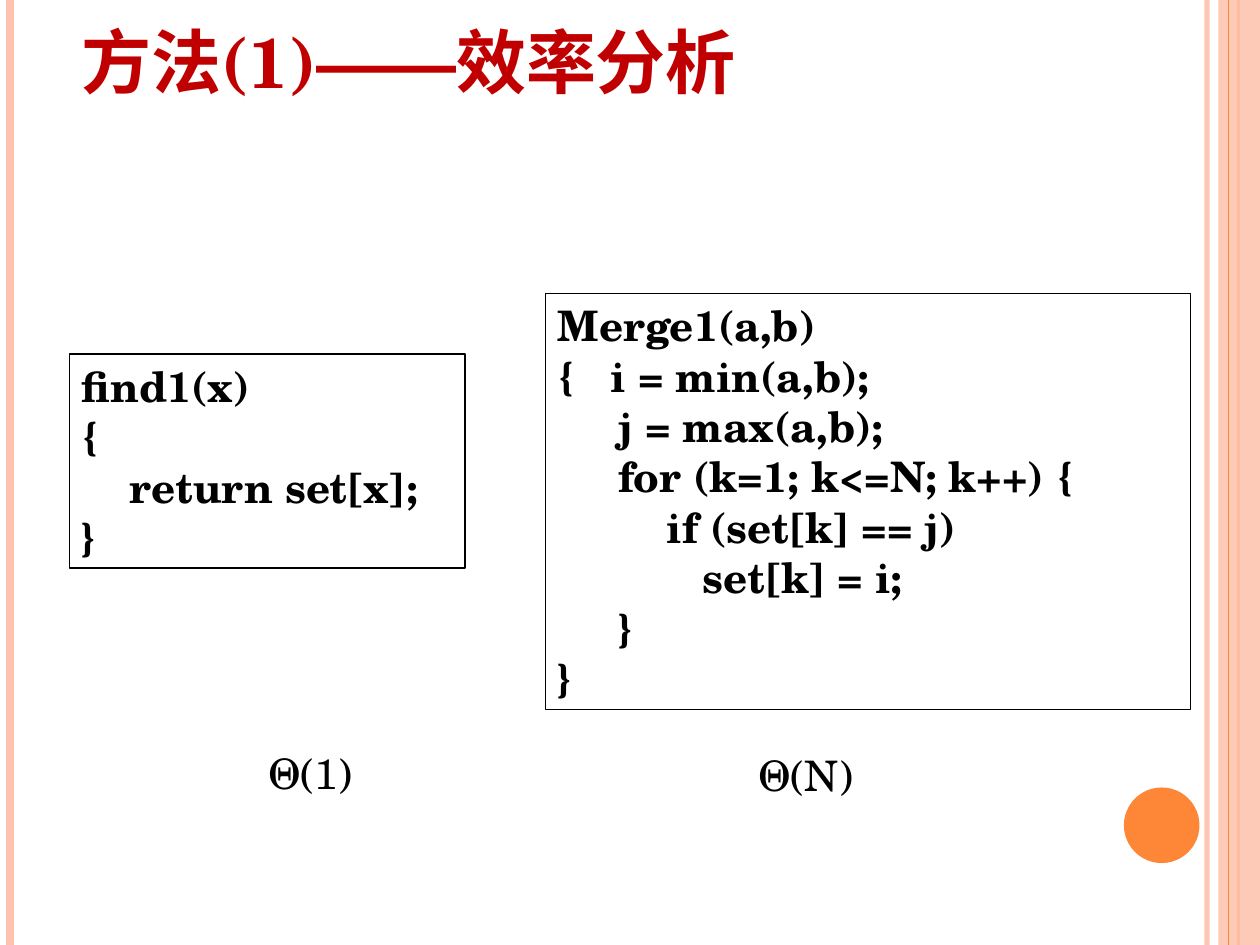
from lxml.etree import SubElement
from pptx import Presentation
from pptx.dml.color import RGBColor
from pptx.enum.shapes import MSO_CONNECTOR, MSO_SHAPE
from pptx.enum.text import MSO_ANCHOR, MSO_AUTO_SIZE, PP_ALIGN
from pptx.oxml.ns import qn
from pptx.util import Inches, Pt

PEACH = RGBColor(0xFE, 0xC3, 0xAE)
ORANGE = RGBColor(0xFE, 0x86, 0x37)
RED = RGBColor(0xC0, 0x00, 0x00)
BLACK = RGBColor(0x00, 0x00, 0x00)
SERIF = "TeX Gyre Schola"

FIND = """find1(x)
{
    return set[x];
}"""
MERGE = """Merge1(a,b)
{   i = min(a,b);
     j = max(a,b);
     for (k=1; k<=N; k++) {
         if (set[k] == j)
            set[k] = i;
     }
}"""


def fade(part, percent):
    """Set the opacity of the solid fill found inside an XML part."""
    color = part.find(".//" + qn("a:srgbClr"))
    SubElement(color, qn("a:alpha"), val=str(percent * 1000))


def write(frame, text, bold):
    """Fill a text frame with one left-aligned paragraph per line."""
    style = {"name": SERIF, "size": Pt(24), "bold": bold}
    for i, line in enumerate(text.split("\n")):
        para = frame.paragraphs[0] if i == 0 else frame.add_paragraph()
        para.alignment = PP_ALIGN.LEFT
        run = para.add_run()
        run.text = line
        for key, value in style.items():
            setattr(run.font, key, value)
        run.font.color.rgb = BLACK


deck = Presentation()
deck.slide_width, deck.slide_height = Inches(10), Inches(7.5)
slide = deck.slides.add_slide(deck.slide_layouts[5])
shapes = slide.shapes

# Side stripes, with the wide band between the outer lines
for x, color, width, alpha in [
    (9.58, PEACH, 3, 93),
    (0.08, PEACH, 4.5, 100),
    (9.83, ORANGE, 1.5, 100),
    (None, PEACH, 0, 87),
    (9.75, ORANGE, 0.75, 100),
]:
    if x is None:
        band = shapes.add_shape(
            MSO_SHAPE.RECTANGLE, Inches(9.67), 0, Inches(0.33), Inches(7.5))
        band.shadow.inherit = False
        band.fill.solid()
        band.fill.fore_color.rgb = color
        band.line.fill.background()
        fade(band._element.spPr, alpha)
        continue
    rule = shapes.add_connector(
        MSO_CONNECTOR.STRAIGHT, Inches(x), 0, Inches(x), Inches(7.5))
    rule.line.color.rgb = color
    rule.line.width = Pt(width)
    props = rule._element.spPr
    SubElement(props, qn("a:effectLst"))
    if alpha < 100:
        fade(props, alpha)

dot = shapes.add_shape(
    MSO_SHAPE.OVAL, Inches(8.92), Inches(6.25), Inches(0.6), Inches(0.6))
dot.shadow.inherit = False
dot.fill.solid()
dot.fill.fore_color.rgb = ORANGE
dot.line.fill.background()

# Title
title = shapes.title
title.left, title.top = Inches(0.55), Inches(-0.39)
title.width, title.height = Inches(8.17), Inches(1.25)
frame = title.text_frame
frame.auto_size = MSO_AUTO_SIZE.NONE
frame.vertical_anchor = MSO_ANCHOR.BOTTOM
para = frame.paragraphs[0]
para.alignment = PP_ALIGN.LEFT
for text, face in [("方法(1)", SERIF), ("——", "Arial"), ("效率分析", SERIF)]:
    run = para.add_run()
    run.text = text
    for key, value in {"name": face, "size": Pt(40), "bold": True}.items():
        setattr(run.font, key, value)
    run.font.color.rgb = RED

# Code boxes
for text, *place in [(FIND, 0.55, 2.81, 3.14, 1.7), (MERGE, 4.33, 2.33, 5.12, 3.3)]:
    box = shapes.add_shape(MSO_SHAPE.RECTANGLE, *map(Inches, place))
    box.shadow.inherit = False
    box.fill.background()
    box.line.color.rgb = BLACK
    box.line.width = Pt(0.75)
    frame = box.text_frame
    frame.word_wrap = True
    frame.auto_size = MSO_AUTO_SIZE.SHAPE_TO_FIT_TEXT
    frame.vertical_anchor = MSO_ANCHOR.TOP
    write(frame, text, True)

# Running times
for text, *place in [("Θ(1)", 2.03, 5.88, 0.9, 0.5), ("Θ(N)", 5.92, 5.9, 0.98, 0.5)]:
    frame = shapes.add_textbox(*map(Inches, place)).text_frame
    frame.word_wrap = False
    frame.auto_size = MSO_AUTO_SIZE.NONE
    write(frame, text, False)

deck.save("out.pptx")
